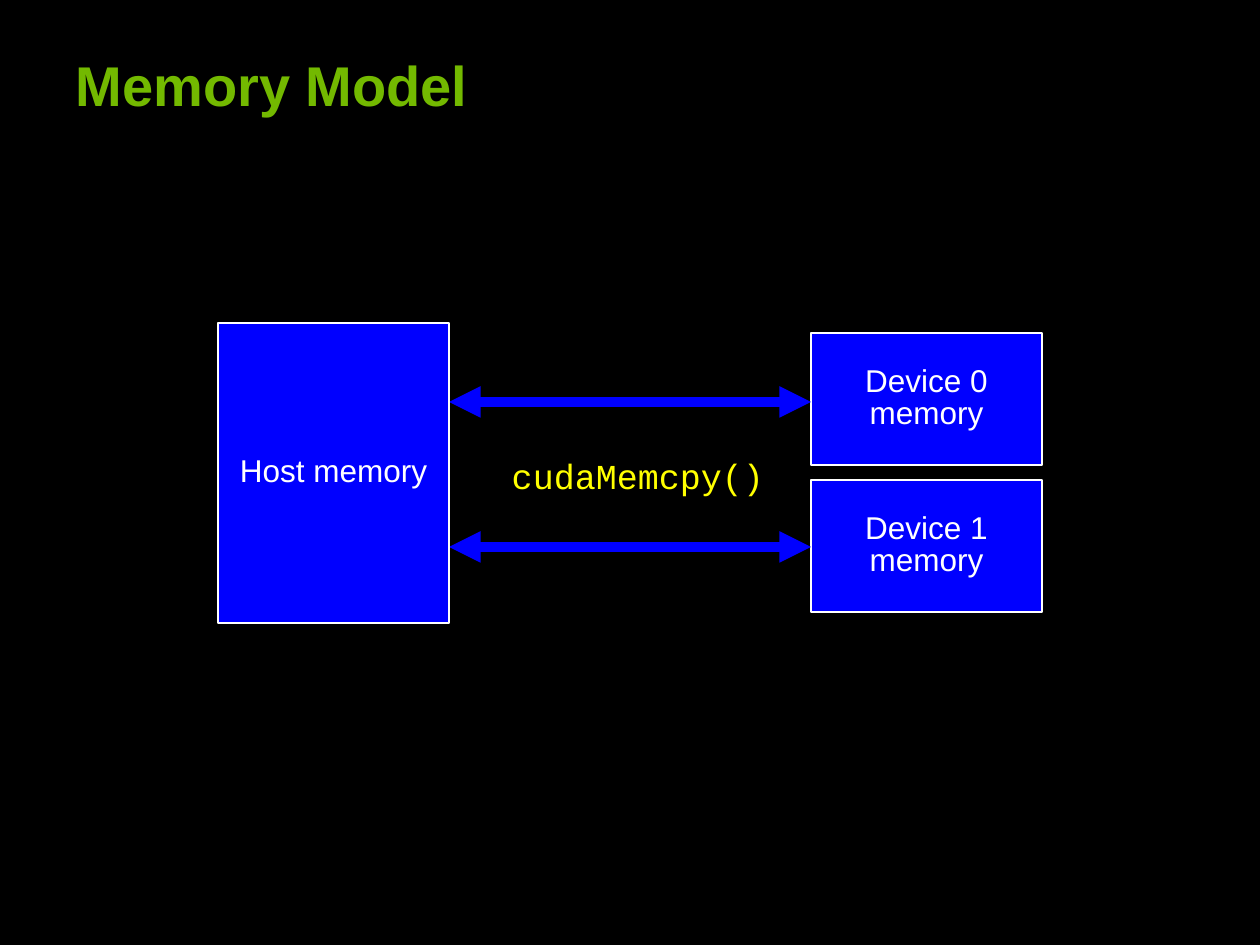
import pptx
import pptx.dml.color
import pptx.enum.shapes
import pptx.enum.text
import pptx.oxml.ns
import pptx.util
from lxml import etree

RGBColor = pptx.dml.color.RGBColor
BLACK = RGBColor(0x00, 0x00, 0x00)
WHITE = RGBColor(0xFF, 0xFF, 0xFF)
GREEN = RGBColor(0x73, 0xB9, 0x00)
BLUE = RGBColor(0x00, 0x00, 0xFF)
YELLOW = RGBColor(0xFF, 0xFF, 0x00)

PX_PER_INCH = 126


def px(length):
    return round(length * pptx.util.Inches(1) / PX_PER_INCH)


def add_run(paragraph, text, size, color, font="Arial", bold=False):
    run = paragraph.add_run()
    run.text = text
    run.font.name = font
    run.font.size = pptx.util.Pt(size)
    run.font.bold = bold
    run.font.color.rgb = color


def set_top_frame(frame):
    frame.word_wrap = True
    frame.vertical_anchor = pptx.enum.text.MSO_ANCHOR.TOP
    frame.margin_top = px(12)
    frame.margin_bottom = 0


def place_title(slide, left, top, width, height):
    title = slide.shapes.title
    title.left, title.top = px(left), px(top)
    title.width, title.height = px(width), px(height)
    set_top_frame(title.text_frame)
    heading = title.text_frame.paragraphs[0]
    heading.alignment = pptx.enum.text.PP_ALIGN.LEFT
    add_run(heading, "Memory Model", 32, GREEN, bold=True)


def add_memory(shapes, lines, left, top, width, height):
    memory = shapes.add_shape(
        pptx.enum.shapes.MSO_SHAPE.RECTANGLE,
        px(left), px(top), px(width), px(height))
    memory.shadow.inherit = False
    memory.fill.solid()
    memory.fill.fore_color.rgb = BLUE
    memory.line.color.rgb = WHITE
    memory.line.width = pptx.util.Pt(1.5)
    frame = memory.text_frame
    frame.word_wrap = False
    frame.vertical_anchor = pptx.enum.text.MSO_ANCHOR.MIDDLE
    caption = frame.paragraphs[0]
    caption.alignment = pptx.enum.text.PP_ALIGN.CENTER
    caption.line_spacing = 0.85
    caption.space_before = pptx.util.Pt(1.8)
    for index, line in enumerate(lines):
        if index:
            caption.add_line_break()
        add_run(caption, line, 18, WHITE)


def add_transfer(shapes, left, right, y):
    transfer = shapes.add_connector(
        pptx.enum.shapes.MSO_CONNECTOR.STRAIGHT,
        px(left), px(y), px(right), px(y))
    transfer.line.color.rgb = BLUE
    transfer.line.width = pptx.util.Pt(6)
    outline = transfer.line._get_or_add_ln()
    for end in ("a:headEnd", "a:tailEnd"):
        etree.SubElement(outline, pptx.oxml.ns.qn(end), type="triangle")
    etree.SubElement(transfer._element.spPr, pptx.oxml.ns.qn("a:effectLst"))


def add_call(shapes, left, top, width, height):
    call = shapes.add_textbox(px(left), px(top), px(width), px(height))
    set_top_frame(call.text_frame)
    name = call.text_frame.paragraphs[0]
    name.alignment = pptx.enum.text.PP_ALIGN.CENTER
    add_run(name, "cudaMemcpy()", 20, YELLOW, font="Courier New")


def place_memory_diagram(slide, left, top, width, height):
    shapes = slide.shapes.add_group_shape().shapes
    memory_width = 231
    device_left = left + width - memory_width
    for device in range(2):
        add_memory(shapes, [f"Device {device}", "memory"],
                   device_left, top + 10 + 147 * device, memory_width, 132)
        add_transfer(shapes, left + memory_width, device_left,
                     top + 79 + 145 * device)
    add_memory(shapes, ["Host memory"], left, top, memory_width, height)
    add_call(shapes, left + 252, top + 119, 336, 54)


def main():
    deck = pptx.Presentation()
    deck.slide_width, deck.slide_height = px(1260), px(945)
    slide = deck.slides.add_slide(deck.slide_layouts.get_by_name("Title Only"))
    slide.background.fill.solid()
    slide.background.fill.fore_color.rgb = BLACK
    place_title(slide, 63, 38, 1018, 79)
    place_memory_diagram(slide, 218, 323, 824, 300)
    deck.save("out.pptx")


if __name__ == "__main__":
    main()
